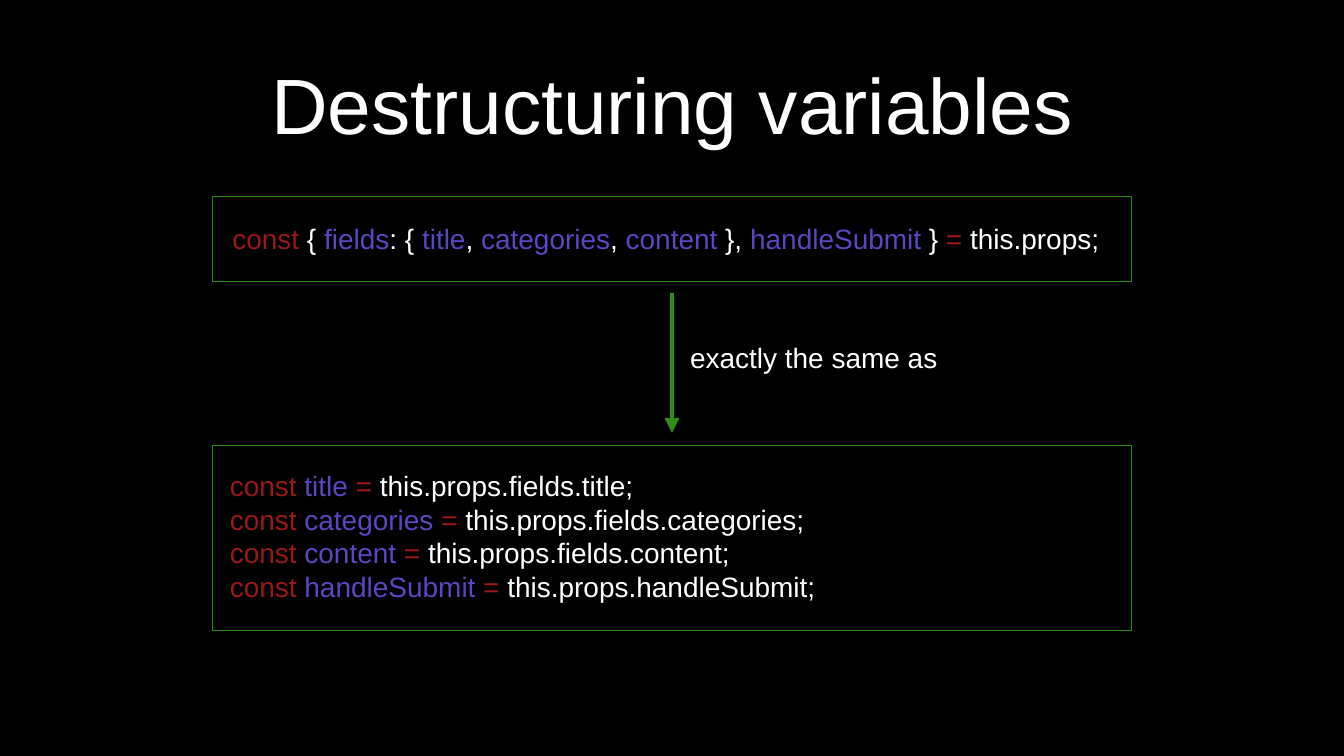
import pptx
import pptx.dml.color
import pptx.enum.shapes
import pptx.enum.text
import pptx.oxml.ns
import pptx.util
from lxml import etree

RGBColor = pptx.dml.color.RGBColor
BLACK = RGBColor(0x00, 0x00, 0x00)
WHITE = RGBColor(0xFF, 0xFF, 0xFF)
GREEN = RGBColor(0x30, 0x8B, 0x16)
RED = RGBColor(0x97, 0x18, 0x17)
PURPLE = RGBColor(0x57, 0x47, 0xC1)

SLIDE_WIDTH = pptx.util.Inches(26.67)
SLIDE_HEIGHT = pptx.util.Inches(15)
FONT_NAME = "Arial"
CODE_SIZE = 40
PANEL_LEFT, PANEL_WIDTH = 15.82, 68.35
CENTER = pptx.enum.text.PP_ALIGN.CENTER
LEFT = pptx.enum.text.PP_ALIGN.LEFT

DESTRUCTURED = [[
    ("const", RED), (" { ", WHITE), ("fields", PURPLE), (": { ", WHITE),
    ("title", PURPLE), (", ", WHITE), ("categories", PURPLE), (", ", WHITE),
    ("content", PURPLE), (" }, ", WHITE), ("handleSubmit", PURPLE),
    (" } ", WHITE), ("=", RED), (" this.props;", WHITE),
]]
ASSIGNMENTS = [
    ("title", "this.props.fields.title"),
    ("categories", "this.props.fields.categories"),
    ("content", "this.props.fields.content"),
    ("handleSubmit", "this.props.handleSubmit"),
]


def across(percent):
    return round(SLIDE_WIDTH * percent / 100)


def down(percent):
    return round(SLIDE_HEIGHT * percent / 100)


def area(left, top, width, height):
    return across(left), down(top), across(width), down(height)


def assignment_line(name, value):
    return [("const ", RED), (f"{name} ", PURPLE), ("=", RED), (f" {value};", WHITE)]


def add_text(slide, place, lines, size=CODE_SIZE, alignment=LEFT, wrap=True):
    text_frame = slide.shapes.add_textbox(*area(*place)).text_frame
    text_frame.word_wrap = wrap
    text_frame.vertical_anchor = pptx.enum.text.MSO_ANCHOR.MIDDLE
    for side in ("left", "top", "right", "bottom"):
        setattr(text_frame, f"margin_{side}", pptx.util.Inches(0.08))
    for index, line in enumerate(lines):
        paragraph = text_frame.add_paragraph() if index else text_frame.paragraphs[0]
        paragraph.alignment = alignment
        for text, color in line:
            run = paragraph.add_run()
            run.text = text
            run.font.name = FONT_NAME
            run.font.size = pptx.util.Pt(size)
            run.font.color.rgb = color


def add_panel(slide, top, height):
    shape = slide.shapes.add_shape(
        pptx.enum.shapes.MSO_SHAPE.RECTANGLE,
        *area(PANEL_LEFT, top, PANEL_WIDTH, height),
    )
    shape.shadow.inherit = False
    shape.fill.solid()
    shape.fill.fore_color.rgb = BLACK
    shape.line.color.rgb = GREEN
    shape.line.width = pptx.util.Pt(1)


def add_down_arrow(slide, column, top, bottom):
    connector = slide.shapes.add_connector(
        pptx.enum.shapes.MSO_CONNECTOR.STRAIGHT,
        across(column), down(top), across(column), down(bottom),
    )
    connector.line.color.rgb = GREEN
    connector.line.width = pptx.util.Pt(7)
    line = connector.line._get_or_add_ln()
    etree.SubElement(line, pptx.oxml.ns.qn("a:tailEnd"), type="triangle")
    etree.SubElement(connector._element.spPr, pptx.oxml.ns.qn("a:effectLst"))


def main():
    presentation = pptx.Presentation()
    presentation.slide_width = SLIDE_WIDTH
    presentation.slide_height = SLIDE_HEIGHT
    slide = presentation.slides.add_slide(presentation.slide_layouts[6])
    slide.background.fill.solid()
    slide.background.fill.fore_color.rgb = BLACK

    add_text(slide, (18, 2.6, 64, 22.13), [[("Destructuring variables", WHITE)]],
             size=112, alignment=CENTER)
    add_panel(slide, 26, 11.2)
    add_text(slide, (16.99, 28.73, 66.74, 5.47), DESTRUCTURED)
    add_panel(slide, 58.87, 24.47)
    add_text(slide, (16.8, 61.47, 66.89, 18.8),
             [assignment_line(name, value) for name, value in ASSIGNMENTS])
    add_down_arrow(slide, 50, 38.8, 57.27)
    add_text(slide, (50.96, 44.53, 19.16, 5.47), [[("exactly the same as", WHITE)]],
             alignment=CENTER, wrap=False)
    presentation.save("out.pptx")


if __name__ == "__main__":
    main()
